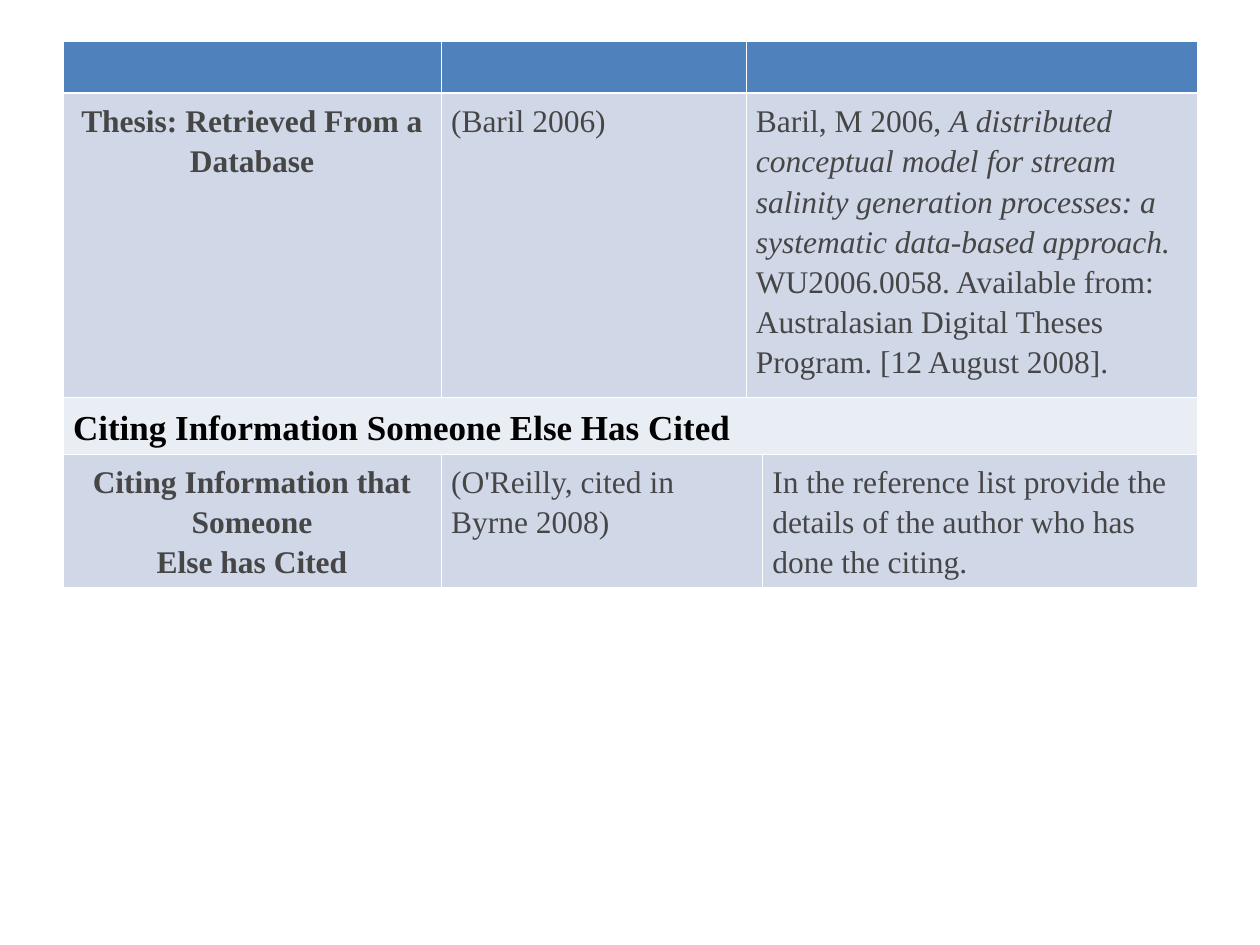
from lxml import etree
from pptx import Presentation
from pptx.dml.color import RGBColor
from pptx.enum.text import PP_ALIGN
from pptx.oxml.ns import qn
from pptx.util import Inches, Pt

CENTER, LEFT = PP_ALIGN.CENTER, PP_ALIGN.LEFT
FONT = "Times New Roman"
BLUE = RGBColor(0x4F, 0x81, 0xBD)
BAND = RGBColor(0xD0, 0xD8, 0xE8)
PALE = RGBColor(0xE9, 0xED, 0xF4)
GRAY = RGBColor(0x46, 0x46, 0x46)
BLACK = RGBColor(0, 0, 0)
WHITE = RGBColor(0xFF, 0xFF, 0xFF)

COLS = [3, 2.42, 0.13, 3.45]
ROWS = [0.41, 2.41, 0.4, 1.03]
FILLS = [BLUE, BAND, PALE, BAND]
THIN, THICK = 0.45, 1.47

# (row, first column, last column)
SPANS = [(0, 2, 3), (1, 2, 3), (2, 0, 3), (3, 1, 2)]

THESIS = [
    [("Baril, M 2006, ", False),
     ("A distributed conceptual model for stream salinity generation "
      "processes: a systematic data-based approach. ", True),
     ("WU2006.0058. Available from: Australasian Digital Theses", False)],
    [("Program. [12 August 2008].", False)],
]


def plain(*lines):
    """Give each line as a paragraph of one upright run."""
    return [[(line, False)] for line in lines]


def add_edge(cell, tag, place, width):
    line = etree.Element(qn("a:" + tag), w=str(Pt(width)))
    fill = etree.SubElement(line, qn("a:solidFill"))
    etree.SubElement(fill, qn("a:srgbClr"), val=str(WHITE))
    cell._tc.get_or_add_tcPr().insert(place, line)


def style_cell(cell, row):
    cell.fill.solid()
    cell.fill.fore_color.rgb = FILLS[row]
    cell.margin_left = cell.margin_right = Inches(0.08)
    cell.margin_top = cell.margin_bottom = Inches(0.05)
    top = THICK if row == 1 else THIN
    base = THICK if row == 0 else THIN
    edges = [("lnL", THIN), ("lnR", THIN), ("lnT", top), ("lnB", base)]
    for place, (tag, width) in enumerate(edges):
        add_edge(cell, tag, place, width)


def write(cell, paras, align=LEFT, size=18, color=GRAY, bold=False):
    frame = cell.text_frame
    for num, runs in enumerate(paras):
        para = frame.add_paragraph() if num else frame.paragraphs[0]
        para.alignment = align
        para.line_spacing = 1.15
        for text, slant in runs:
            run = para.add_run()
            run.text = text
            font = run.font
            font.name, font.size = FONT, Pt(size)
            font.bold, font.italic = bold, slant
            font.color.rgb = color


def add_grid(slide):
    frame = slide.shapes.add_table(
        len(ROWS), len(COLS), Inches(0.5), Inches(0.33),
        Inches(sum(COLS)), Inches(sum(ROWS)))
    table = frame.table
    for col, width in zip(table.columns, COLS):
        col.width = Inches(width)
    for num, height in enumerate(ROWS):
        table.rows[num].height = Inches(height)
        for cell in table.rows[num].cells:
            style_cell(cell, num)
    for row, first, last in SPANS:
        table.cell(row, first).merge(table.cell(row, last))
    return table


def main():
    deck = Presentation()
    deck.slide_width, deck.slide_height = Inches(10), Inches(7.5)
    slide = deck.slides.add_slide(deck.slide_layouts[6])
    table = add_grid(slide)

    write(table.cell(1, 0), plain("Thesis: Retrieved From a", "Database"),
          CENTER, bold=True)
    write(table.cell(1, 1), plain("(Baril 2006)"))
    write(table.cell(1, 2), THESIS)
    write(table.cell(2, 0), plain("Citing Information Someone Else Has Cited"),
          size=20, color=BLACK, bold=True)
    write(table.cell(3, 0),
          plain("Citing Information that Someone", "Else has Cited"),
          CENTER, bold=True)
    write(table.cell(3, 1), plain("(O'Reilly, cited in Byrne 2008)"))
    write(table.cell(3, 3), plain(
        "In the reference list provide the details of the author "
        "who has done the citing."))
    deck.save("out.pptx")


if __name__ == "__main__":
    main()
